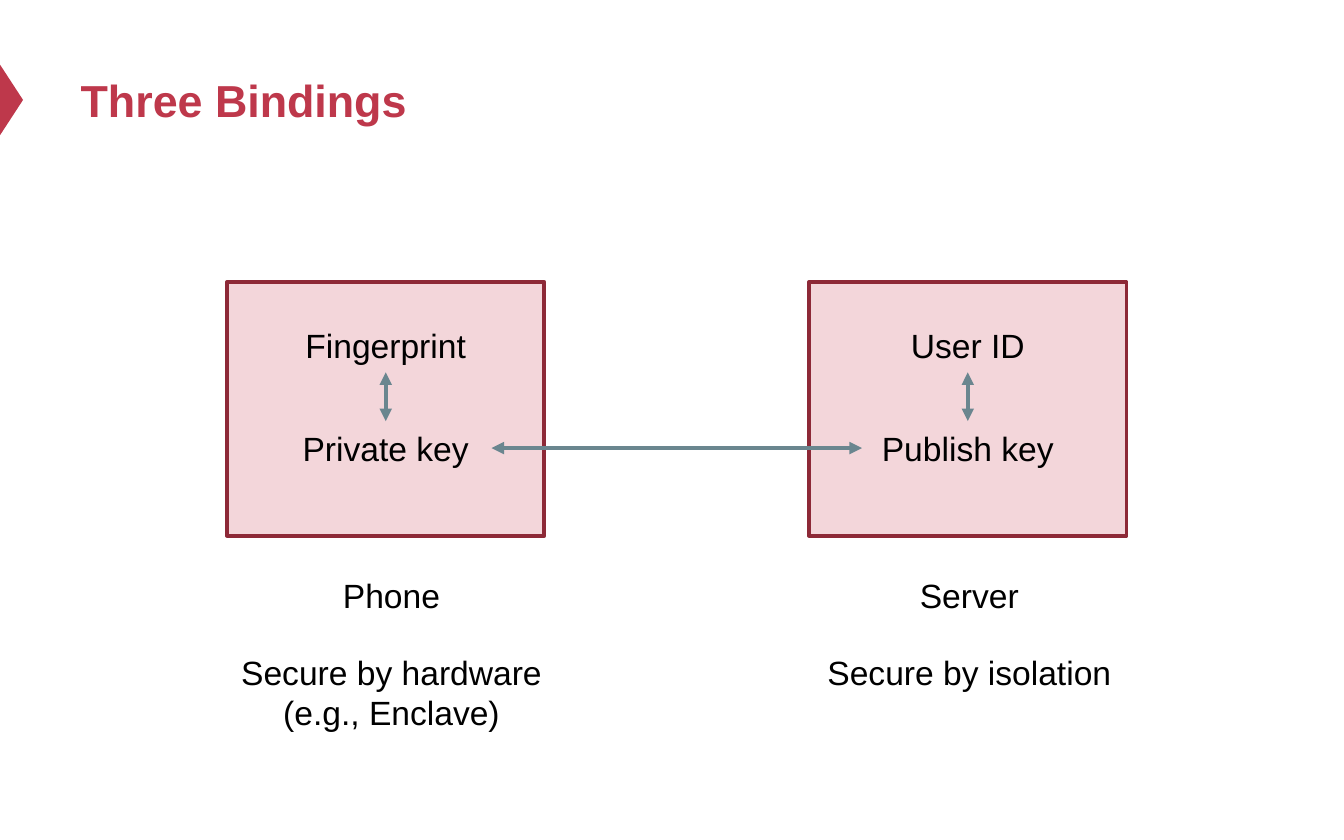
from lxml.etree import SubElement
from pptx import Presentation
from pptx.dml.color import RGBColor
from pptx.enum.shapes import MSO_CONNECTOR, MSO_SHAPE
from pptx.enum.text import MSO_ANCHOR, MSO_AUTO_SIZE, PP_ALIGN
from pptx.oxml.ns import qn
from pptx.util import Cm, Pt

RED, DARK_RED, PINK, GREY, BLACK = "BE384B", "8D2937", "F3D6DA", "6A868F", "000000"
color = RGBColor.from_string

deck = Presentation()
deck.slide_width, deck.slide_height = Cm(25.4), Cm(15.88)
page = deck.slides.add_slide(deck.slide_layouts[5])
shapes = page.shapes


def add_label(text, center, top, width, height=1.02):
    """Add a centred text box around a horizontal centre, in cm."""
    box = shapes.add_textbox(Cm(center - width / 2), Cm(top), Cm(width), Cm(height))
    frame = box.text_frame
    frame.word_wrap = True
    frame.auto_size = MSO_AUTO_SIZE.SHAPE_TO_FIT_TEXT
    para = frame.paragraphs[0]
    para.text = text
    para.alignment = PP_ALIGN.CENTER
    para.font.name, para.font.size = "Arial", Pt(18)
    para.font.color.rgb = color(BLACK)
    return box


def join_labels(start, start_side, end, end_side):
    """Join two labels with a double-headed arrow."""
    arrow = shapes.add_connector(MSO_CONNECTOR.STRAIGHT, 0, 0, 0, 0)
    arrow.begin_connect(start, start_side)
    arrow.end_connect(end, end_side)
    arrow.line.color.rgb = color(GREY)
    arrow.line.width = Pt(2.25)
    properties = arrow.line._get_or_add_ln()
    for end_name in ("a:headEnd", "a:tailEnd"):
        SubElement(properties, qn(end_name), type="triangle")
    SubElement(arrow._element.spPr, qn("a:effectLst"))


# Title and its marker
marker = shapes.add_shape(MSO_SHAPE.ISOSCELES_TRIANGLE, Cm(-0.46), Cm(1.67), Cm(1.35), Cm(0.44))
marker.rotation = 90
marker.shadow.inherit = False
marker.fill.solid()
marker.fill.fore_color.rgb = color(RED)
marker.line.fill.background()

title = shapes.title
title.left, title.top, title.width, title.height = Cm(1.27), Cm(0.64), Cm(22.86), Cm(2.49)
title.text_frame.vertical_anchor = MSO_ANCHOR.MIDDLE
para = title.text_frame.paragraphs[0]
para.text = "Three Bindings"
para.alignment = PP_ALIGN.LEFT
para.font.name, para.font.size, para.font.bold = "Arial", Pt(24), True
para.font.color.rgb = color(RED)

# Devices: box centre, identity, key, caption centre, caption, security note and its size
devices = [
    (7.29, "Fingerprint", "Private key", 7.4, "Phone",
     "Secure by hardware (e.g., Enclave)", 7.26, 2.57),
    (18.29, "User ID", "Publish key", 18.32, "Server",
     "Secure by isolation", 6, 1.02),
]
keys = []
for center, identity, key, caption_center, caption, note, note_width, note_height in devices:
    device = shapes.add_shape(MSO_SHAPE.RECTANGLE, Cm(center - 3), Cm(5.33), Cm(6), Cm(4.8))
    device.shadow.inherit = False
    device.fill.solid()
    device.fill.fore_color.rgb = color(PINK)
    device.line.color.rgb = color(DARK_RED)
    device.line.width = Pt(2)

    identity_label = add_label(identity, center, 6.02, 4)
    key_label = add_label(key, center, 7.96, 4)
    join_labels(identity_label, 2, key_label, 0)
    keys.append(key_label)

    add_label(caption, caption_center, 10.74, 4.6)
    add_label(note, caption_center, 12.2, note_width, note_height)

private_key, public_key = keys
join_labels(public_key, 1, private_key, 3)

deck.save("out.pptx")
